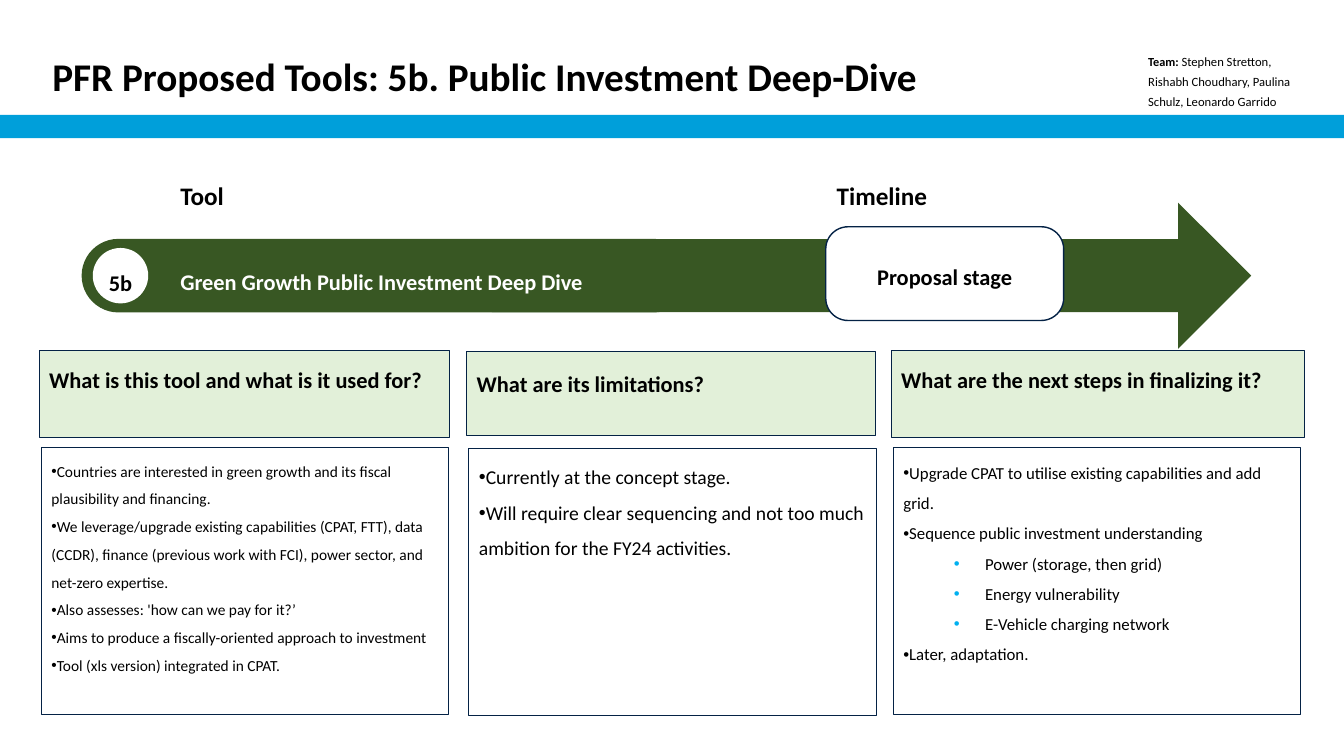
from lxml import etree
from pptx import Presentation
from pptx import util as u
from pptx.dml.color import RGBColor
from pptx.enum import shapes, text
from pptx.oxml import ns

PX = 9144
COLORS = {"ink": "000000", "paper": "FFFFFF", "band": "009FDA", "forest": "385723",
          "mint": "E2F0D9", "navy": "042245", "bullet": "00B0F0"}
PRESET = shapes.MSO_SHAPE
LEFT, CENTER = text.PP_ALIGN.LEFT, text.PP_ALIGN.CENTER
TOP, MIDDLE = text.MSO_ANCHOR.TOP, text.MSO_ANCHOR.MIDDLE

COLUMNS = [
    {"box": (39, 348, 407, 86), "spacing": 1.4, "size": 11, "body": 1,
     "heading": "What is this tool and what is it used for?",
     "items": [(0, "Countries are interested in green growth and its fiscal plausibility and financing."),
               (0, "We leverage/upgrade existing capabilities (CPAT, FTT), data (CCDR), finance "
                   "(previous work with FCI), power sector, and net-zero expertise."),
               (0, "Also assesses: 'how can we pay for it?’"),
               (0, "Aims to produce a fiscally-oriented approach to investment"),
               (0, "Tool (xls version) integrated in CPAT.")]},
    {"box": (463, 349, 405, 83), "spacing": 1.5, "size": 14, "body": 2,
     "heading": "What are its limitations?",
     "items": [(0, "Currently at the concept stage."),
               (0, "Will require clear sequencing and not too much ambition for the FY24 activities.")]},
    {"box": (884, 348, 410, 86), "spacing": 1.4, "size": 12, "body": 4,
     "heading": "What are the next steps in finalizing it?",
     "items": [(0, "Upgrade CPAT to utilise existing capabilities and add grid."),
               (0, "Sequence public investment understanding"),
               (1, "Power (storage, then grid)"),
               (1, "Energy vulnerability"),
               (1, "E-Vehicle charging network"),
               (0, "Later, adaptation.")]},
]


def rgb(name):
    """Return the named colour."""
    return RGBColor.from_string(COLORS[name])


def apply(target, values):
    """Set every attribute in values on the target."""
    for name, value in values.items():
        setattr(target, name, value)


def place(part, box):
    """Move a part to a box given in px."""
    apply(part, dict(zip(("left", "top", "width", "height"), (n * PX for n in box))))


def paint(part, fill=None, line=None, weight=0.75):
    """Give a part its fill and outline."""
    if fill:
        part.fill.solid()
        part.fill.fore_color.rgb = rgb(fill)
    else:
        part.fill.background()
    if line:
        part.line.color.rgb = rgb(line)
        part.line.width = u.Pt(weight)
    else:
        part.line.fill.background()


def frame(part, anchor=TOP, insets=(10, 5, 10, 5)):
    """Prepare the text frame of a part and return it."""
    sides = ("margin_left", "margin_top", "margin_right", "margin_bottom")
    apply(part.text_frame, {"word_wrap": True, "auto_size": text.MSO_AUTO_SIZE.NONE,
                            "vertical_anchor": anchor, **dict(zip(sides, (n * PX for n in insets)))})
    return part.text_frame


def write(para, words, size, bold=True, color="ink", align=LEFT, spacing=1.5):
    """Add one formatted run to a paragraph."""
    apply(para, {"alignment": align, "line_spacing": spacing, "space_before": u.Pt(0),
                 "space_after": u.Pt(0)})
    run = para.add_run()
    run.text = words
    apply(run.font, {"name": "Calibri", "size": u.Pt(size), "bold": bold})
    run.font.color.rgb = rgb(color)


def draw(slide, preset, box, fill, line=None, weight=0.75, corner=None):
    """Add a painted preset shape without shadow."""
    part = slide.shapes.add_shape(preset, *(n * PX for n in box))
    part.shadow.inherit = False
    paint(part, fill, line, weight)
    if corner is not None:
        part.adjustments[0] = corner
    return part


def label(slide, box, words, size, **style):
    """Add a one-line text box."""
    caption = slide.shapes.add_textbox(*(n * PX for n in box))
    write(frame(caption).paragraphs[0], words, size, **style)


def add_bullet(para, level):
    """Give a paragraph the bullet and indent of its level."""
    props = para._p.get_or_add_pPr()
    margin, hang = ((0, -25), (81, -31))[level]
    props.set("marL", str(margin * PX))
    props.set("indent", str(hang * PX))
    if level:
        tint = etree.SubElement(props, ns.qn("a:buClr"))
        etree.SubElement(tint, ns.qn("a:srgbClr"), val=COLORS["bullet"])
    etree.SubElement(props, ns.qn("a:buFont"), typeface="Arial")
    etree.SubElement(props, ns.qn("a:buChar"), char="•")


def header(slide, box):
    """Place the title, the team credit and the blue band."""
    left, top, width, height = box
    draw(slide, PRESET.RECTANGLE, (left, top + height - 23, width, 23), "band")
    title = slide.shapes.title
    place(title, (left + 42, top + 52, 1080, 63))
    write(frame(title).paragraphs[0], "PFR Proposed Tools: 5b. Public Investment Deep-Dive",
          28, spacing=0.9)
    team = slide.shapes.add_textbox(*(n * PX for n in (left + 1129, top + 49, 204, 59)))
    credit = frame(team, MIDDLE).paragraphs[0]
    write(credit, "Team: ", 8.8, spacing=1.3)
    write(credit, "Stephen Stretton, Rishabh\u00a0Choudhary, Paulina Schulz,\u00a0Leonardo Garrido",
          9, bold=False, spacing=1.3)


def timeline(slide, box):
    """Place the arrow with its tool name, number and stage."""
    left, top, width, height = box
    draw(slide, PRESET.ROUNDED_RECTANGLE, (left, top + 78, 604, 73), "forest", corner=0.5)
    draw(slide, PRESET.RIGHT_ARROW, (left + 407, top + 42, width - 407, height - 42), "forest")
    stage = draw(slide, PRESET.ROUNDED_RECTANGLE, (left + 738, top + 66, 236, 93), "paper",
                 "navy", 1, corner=0.238)
    write(frame(stage, MIDDLE, (10, 5, 10, 12)).paragraphs[0], "Proposal stage", 16, align=CENTER)
    number = draw(slide, PRESET.OVAL, (left + 11, top + 87, 55, 55), "paper")
    write(frame(number, insets=(0, 0, 0, 0)).paragraphs[0], "5b", 16, align=CENTER)
    label(slide, (left + 88, top, 221, 58), "Tool", 18)
    label(slide, (left + 739, top, 221, 58), "Timeline", 18)
    label(slide, (left + 88, top + 89, 569, 52), "Green Growth Public Investment Deep Dive", 16,
          color="paper")


def column(slide, box, heading, spacing, size, body, items):
    """Place a heading and the bullet list below it."""
    left, top, width, height = box
    question = draw(slide, PRESET.RECTANGLE, box, "mint", "navy")
    write(frame(question).paragraphs[0], heading, 16, spacing=spacing)
    answers = slide.placeholders[body]
    place(answers, (left + 2, top + 96, 404, 265))
    paint(answers, line="navy")
    lines = frame(answers)
    for order, (level, words) in enumerate(items):
        para = lines.add_paragraph() if order else lines.paragraphs[0]
        para.level = level
        add_bullet(para, level)
        write(para, words, size, bold=False)


def main():
    """Build and save the slide."""
    deck = Presentation()
    apply(deck, {"slide_width": 1333 * PX, "slide_height": 750 * PX})
    slide = deck.slides.add_slide(deck.slide_layouts[4])
    header(slide, (0, 0, 1333, 137))
    timeline(slide, (81, 159, 1160, 187))
    for content in COLUMNS:
        column(slide, **content)
    spare = slide.placeholders[3]._element
    spare.getparent().remove(spare)
    deck.save("out.pptx")


if __name__ == "__main__":
    main()
